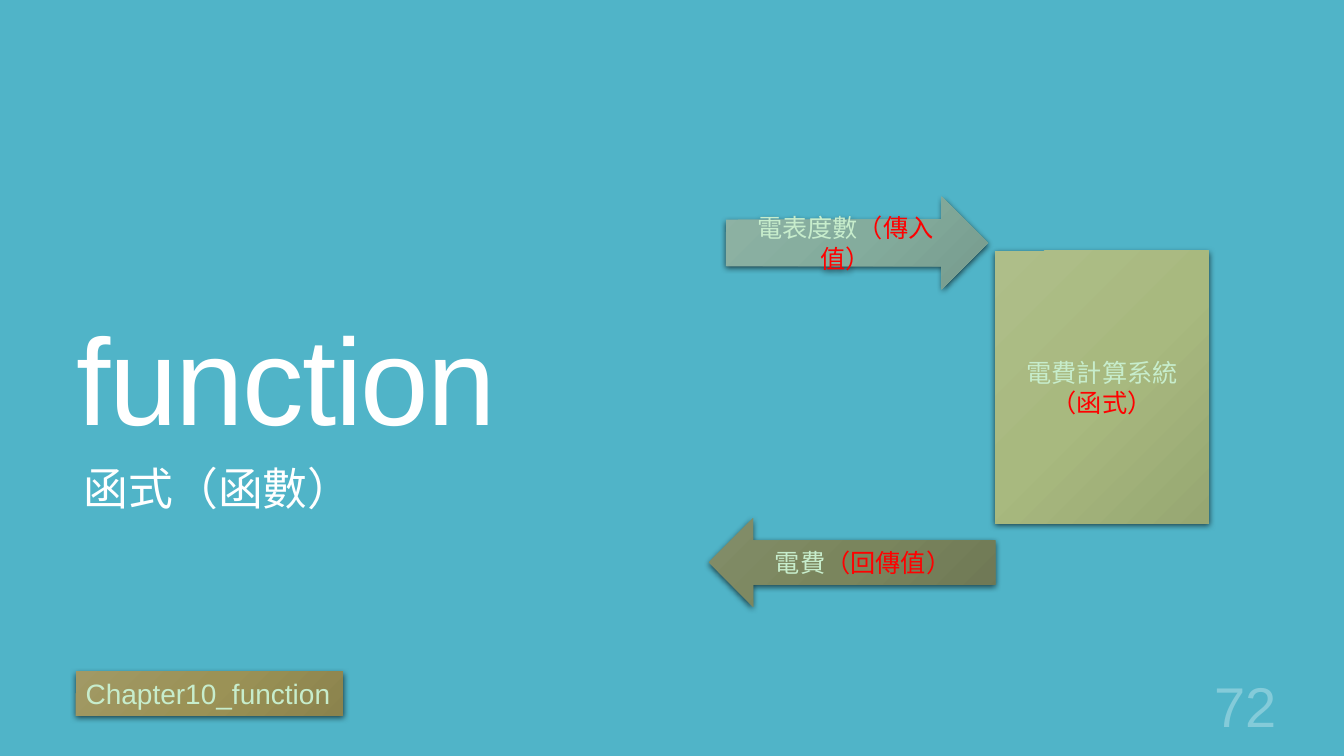
from pptx import Presentation
from pptx.dml.color import RGBColor
from pptx.enum.shapes import MSO_SHAPE
from pptx.enum.text import MSO_ANCHOR, MSO_AUTO_SIZE, PP_ALIGN
from pptx.oxml import parse_xml
from pptx.oxml.ns import nsdecls
from pptx.util import Inches, Pt

FONT = "Arial"
BACKGROUND = RGBColor(0x50, 0xB4, 0xC8)
WHITE = RGBColor(0xFF, 0xFF, 0xFF)
MINT = RGBColor(0xC7, 0xED, 0xCC)
RED = RGBColor(0xFF, 0x00, 0x00)
PALE_BLUE = RGBColor(0x84, 0xCB, 0xD9)
TAN = [RGBColor.from_string(code) for code in ("A19965", "9B9256", "8B834D")]
GREEN = [RGBColor.from_string(code) for code in ("AEBE89", "A8B97F", "97A772")]
TEAL = [RGBColor.from_string(code) for code in ("8EB2A4", "84AC9D", "769B8D")]
OLIVE = [RGBColor.from_string(code) for code in ("838E69", "7A855D", "6E7754")]

TITLE = ("function", (0.66, 0.84, 11.79, 3.67))
SUBTITLE = ("函式（函數）", (0.73, 4.6, 10.09, 1.8))
SLIDE_NUMBER = ("72", (11.26, 6.6, 1.5, 0.8))
CHAPTER = (MSO_SHAPE.RECTANGLE, (0.75, 6.66, 2.65, 0.44), TAN,
           [[("Chapter10_function", MINT)]], 20, PP_ALIGN.LEFT)
DIAGRAM = [
    (MSO_SHAPE.RECTANGLE, (9.87, 2.49, 2.12, 2.7), GREEN,
     [[("電費計算系統", MINT)], [("（函式）", RED)]], 18, PP_ALIGN.CENTER),
    (MSO_SHAPE.RIGHT_ARROW, (7.2, 1.95, 2.6, 0.92), TEAL,
     [[("電表度數", MINT), ("（傳入值）", RED)]], 18, PP_ALIGN.CENTER),
    (MSO_SHAPE.LEFT_ARROW, (7.03, 5.14, 2.84, 0.88), OLIVE,
     [[("電費", MINT), ("（回傳值）", RED)]], 18, PP_ALIGN.CENTER),
]


def style_paragraph(paragraph, size, alignment, color=None):
    paragraph.alignment = alignment
    paragraph.font.name = FONT
    paragraph.font.size = Pt(size)
    if color is not None:
        paragraph.font.color.rgb = color


def fill_text(shape, content, size, color, anchor, alignment=PP_ALIGN.LEFT):
    text, box = content
    shape.left, shape.top, shape.width, shape.height = map(Inches, box)
    frame = shape.text_frame
    frame.text = text
    frame.word_wrap = True
    frame.auto_size = MSO_AUTO_SIZE.NONE
    frame.vertical_anchor = anchor
    paragraph = frame.paragraphs[0]
    style_paragraph(paragraph, size, alignment, color)
    return paragraph


def apply_gradient_and_shadow(shape, colors):
    stops = "".join(
        f'<a:gs pos="{index * 50000}"><a:srgbClr val="{color}"/></a:gs>'
        for index, color in enumerate(colors))
    gradient = parse_xml(
        f'<a:gradFill {nsdecls("a")} rotWithShape="1"><a:gsLst>{stops}</a:gsLst>'
        '<a:lin ang="2700000" scaled="0"/></a:gradFill>')
    shadow = parse_xml(
        f'<a:effectLst {nsdecls("a")}><a:outerShdw blurRad="{Pt(4.5)}" '
        f'dist="{Pt(1.5)}" dir="5400000" algn="ctr" rotWithShape="0">'
        '<a:srgbClr val="000000"><a:alpha val="63000"/></a:srgbClr>'
        '</a:outerShdw></a:effectLst>')
    shape.line.fill.background()
    properties = shape._element.spPr
    properties.insert(2, gradient)
    properties.append(shadow)


def add_block(slide, kind, box, colors, paragraphs, size, alignment):
    shape = slide.shapes.add_shape(kind, *map(Inches, box))
    apply_gradient_and_shadow(shape, colors)
    frame = shape.text_frame
    frame.word_wrap = True
    frame.vertical_anchor = MSO_ANCHOR.MIDDLE
    for index, runs in enumerate(paragraphs):
        paragraph = frame.add_paragraph() if index else frame.paragraphs[0]
        style_paragraph(paragraph, size, alignment)
        for text, color in runs:
            run = paragraph.add_run()
            run.text = text
            run.font.color.rgb = color


def main():
    presentation = Presentation()
    presentation.slide_width = Inches(13.33)
    presentation.slide_height = Inches(7.5)
    slide = presentation.slides.add_slide(presentation.slide_layouts[0])
    slide.background.fill.solid()
    slide.background.fill.fore_color.rgb = BACKGROUND

    title = fill_text(slide.shapes.title, TITLE, 88, WHITE, MSO_ANCHOR.BOTTOM)
    title.line_spacing = 0.8
    title.runs[0]._r.get_or_add_rPr().set("spc", "-120")

    subtitle = fill_text(slide.placeholders[1], SUBTITLE, 32, WHITE, MSO_ANCHOR.TOP)
    subtitle.line_spacing = 0.85
    subtitle.space_before = Pt(13)

    for block in [CHAPTER, *DIAGRAM]:
        add_block(slide, *block)

    number = slide.shapes.add_textbox(0, 0, 0, 0)
    fill_text(number, SLIDE_NUMBER, 40, PALE_BLUE, MSO_ANCHOR.MIDDLE, PP_ALIGN.RIGHT)
    presentation.save("out.pptx")


if __name__ == "__main__":
    main()
